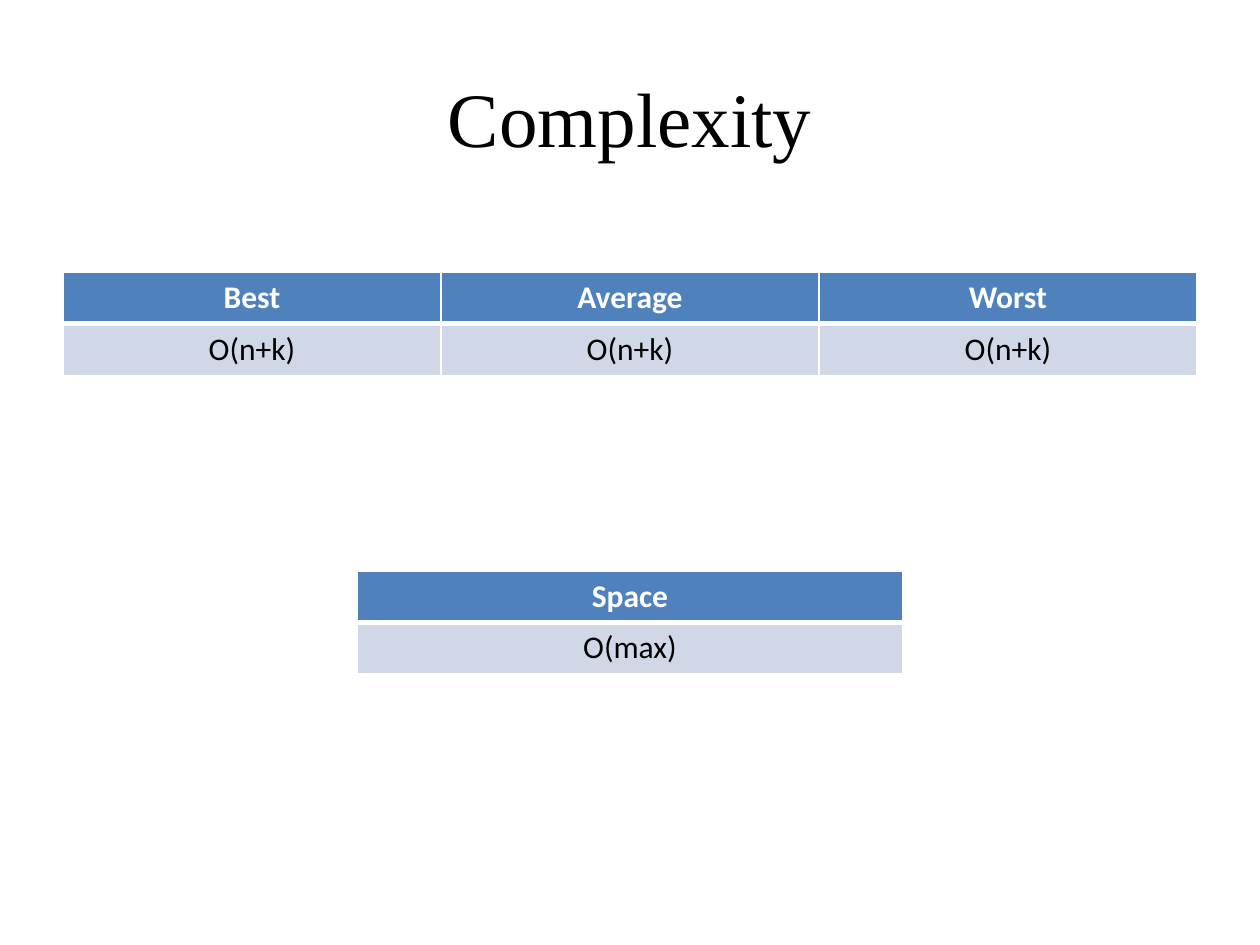
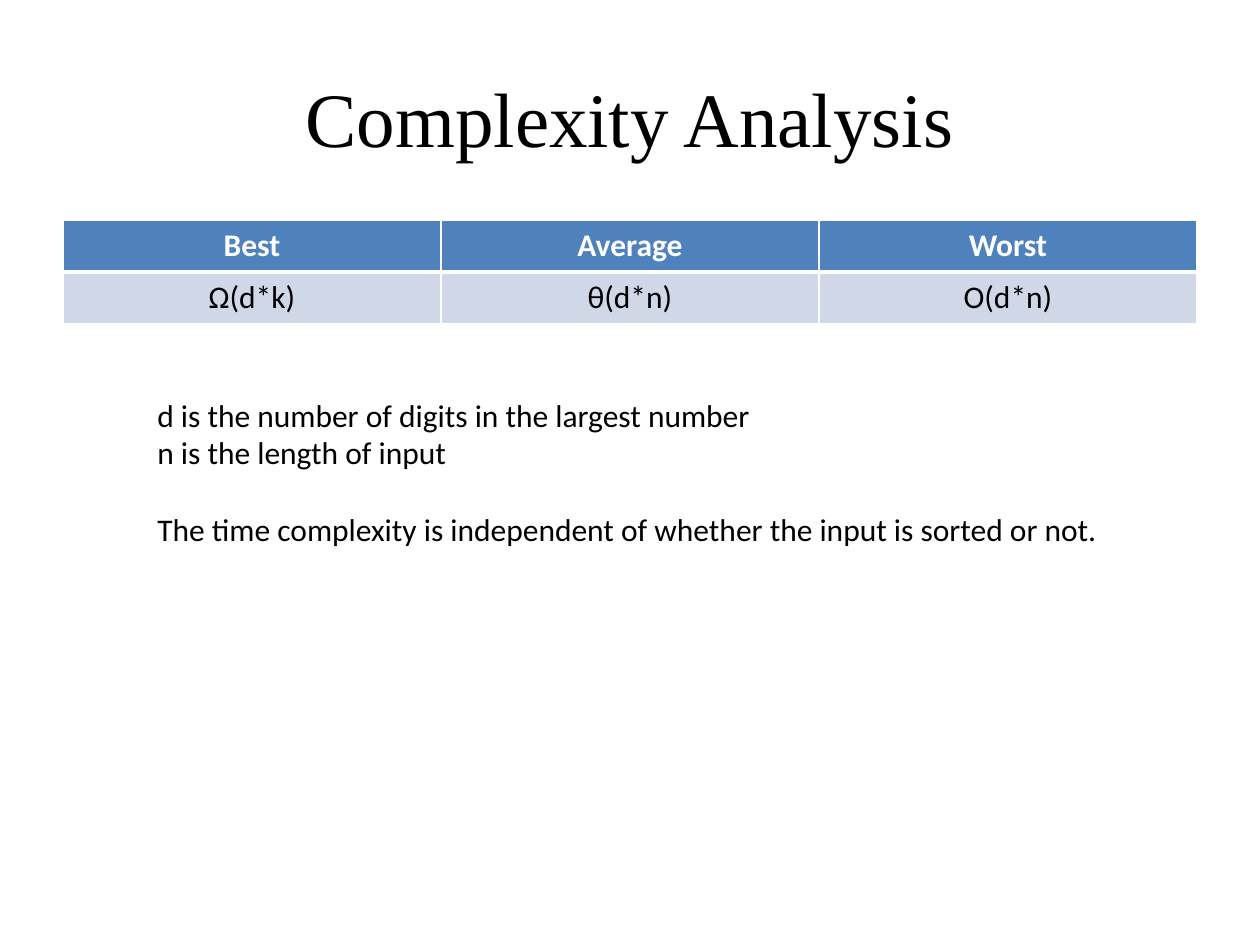
from lxml import etree
from pptx import Presentation
from pptx.dml.color import RGBColor
from pptx.enum.text import MSO_ANCHOR, PP_ALIGN
from pptx.oxml.ns import qn
from pptx.util import Inches, Pt

CENTER, LEFT = PP_ALIGN.CENTER, PP_ALIGN.LEFT
MIDDLE = MSO_ANCHOR.MIDDLE

# Content: tables are (top, width, header, values); notes are (space before, text)
CASES = ["Best", "Average", "Worst"]
SLIDES = [
    {
        "title": "Complexity",
        "tables": [
            (2.16, 9, CASES, ["O(n+k)"] * 3),
            (4.53, 4.33, ["Space"], ["O(max)"]),
        ],
        "notes": [],
    },
    {
        "title": "Complexity Analysis",
        "tables": [(1.75, 9, CASES, ["Ω(d*k)", "θ(d*n)", "O(d*n)"])],
        "notes": [
            (0, "d is the number of digits in the largest number"),
            (0, "n is the length of input"),
            (22, "The time complexity is independent of whether "
                 "the input is sorted or not."),
        ],
    },
]

# Shared style
SLIDE_W, SLIDE_H = 10, 7.5
TITLE_BOX = (0.5, 0.3, 9, 1.25)
NOTES_BOX = (1.15, 3.09, 7.69, 1.31)
ROW_H = 0.41
TITLE_FONT, BODY_FONT = "Times New Roman", "Calibri"
TITLE_SIZE, BODY_SIZE = 44, 18
BLACK, WHITE, HEADER_BLUE, PALE_BLUE = "000000", "FFFFFF", "4F81BD", "D0D8E8"
THIN, THICK = 1, 3


def rgb(color):
    return RGBColor.from_string(color)


def style(p, align, font, size, color=BLACK, bold=False):
    p.alignment = align
    for r in p.runs:
        r.font.name = font
        r.font.size = Pt(size)
        r.font.bold = bold
        r.font.color.rgb = rgb(color)


def add_text_box(slide, box):
    return slide.shapes.add_textbox(*map(Inches, box)).text_frame


def add_title(slide, text):
    tf = add_text_box(slide, TITLE_BOX)
    tf.word_wrap = True
    tf.vertical_anchor = MIDDLE
    tf.text = text
    style(tf.paragraphs[0], CENTER, TITLE_FONT, TITLE_SIZE)


def add_notes(slide, notes):
    tf = add_text_box(slide, NOTES_BOX)
    tf.word_wrap = False
    tf.text = "\n".join(text for _, text in notes)
    for p, (gap, _) in zip(tf.paragraphs, notes):
        p.space_before = Pt(gap)
        style(p, LEFT, BODY_FONT, BODY_SIZE)


def set_borders(cell, top, bottom):
    """Draw white borders; they must precede the fill in the cell properties."""
    props = cell._tc.get_or_add_tcPr()
    widths = {"lnL": THIN, "lnR": THIN, "lnT": top, "lnB": bottom}
    for i, (tag, width) in enumerate(widths.items()):
        ln = etree.Element(qn(f"a:{tag}"), w=str(Pt(width)))
        fill = etree.SubElement(ln, qn("a:solidFill"))
        etree.SubElement(fill, qn("a:srgbClr"), val=WHITE)
        props.insert(i, ln)


def add_complexity_table(slide, top, width, header, values):
    rows = [
        (header, HEADER_BLUE, WHITE, True, THIN, THICK),
        (values, PALE_BLUE, BLACK, False, THICK, THIN),
    ]
    box = ((SLIDE_W - width) / 2, top, width, ROW_H * len(rows))
    table = slide.shapes.add_table(
        len(rows), len(header), *map(Inches, box)).table
    for row, (texts, fill, color, bold, above, below) in zip(table.rows, rows):
        row.height = Inches(ROW_H)
        for cell, text in zip(row.cells, texts):
            cell.text = text
            cell.fill.solid()
            cell.fill.fore_color.rgb = rgb(fill)
            set_borders(cell, above, below)
            style(cell.text_frame.paragraphs[0], CENTER,
                  BODY_FONT, BODY_SIZE, color, bold)


def main():
    prs = Presentation()
    prs.slide_width, prs.slide_height = Inches(SLIDE_W), Inches(SLIDE_H)
    for content in SLIDES:
        slide = prs.slides.add_slide(prs.slide_layouts[6])
        add_title(slide, content["title"])
        for table in content["tables"]:
            add_complexity_table(slide, *table)
        if content["notes"]:
            add_notes(slide, content["notes"])
    prs.save("out.pptx")


if __name__ == "__main__":
    main()
